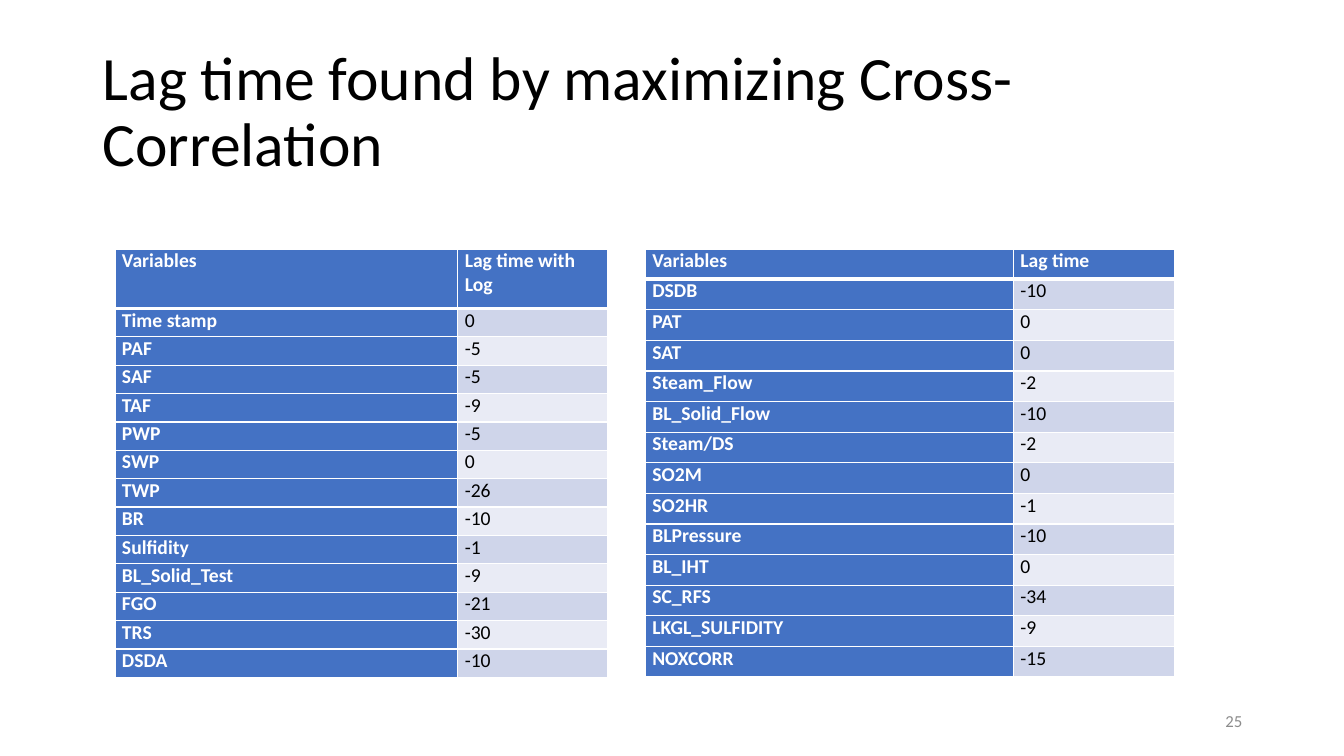
from lxml import etree
from pptx import Presentation
from pptx.dml.color import RGBColor
from pptx.enum.text import MSO_ANCHOR, PP_ALIGN
from pptx.oxml.ns import qn
from pptx.util import Inches, Pt

MIDDLE = MSO_ANCHOR.MIDDLE
LEFT, RIGHT = PP_ALIGN.LEFT, PP_ALIGN.RIGHT

TITLE = "Lag time found by maximizing Cross-Correlation"
PAGE_NUMBER = "25"
LOG_LAGS = [
    ("Variables", "Lag time with Log"),
    ("Time stamp", "0"),
    ("PAF", "-5"),
    ("SAF", "-5"),
    ("TAF", "-9"),
    ("PWP", "-5"),
    ("SWP", "0"),
    ("TWP", "-26"),
    ("BR", "-10"),
    ("Sulfidity", "-1"),
    ("BL_Solid_Test", "-9"),
    ("FGO", "-21"),
    ("TRS", "-30"),
    ("DSDA", "-10"),
]
PLAIN_LAGS = [
    ("Variables", "Lag time"),
    ("DSDB", "-10"),
    ("PAT", "0"),
    ("SAT", "0"),
    ("Steam_Flow", "-2"),
    ("BL_Solid_Flow", "-10"),
    ("Steam/DS", "-2"),
    ("SO2M", "0"),
    ("SO2HR", "-1"),
    ("BLPressure", "-10"),
    ("BL_IHT", "0"),
    ("SC_RFS", "-34"),
    ("LKGL_SULFIDITY", "-9"),
    ("NOXCORR", "-15"),
]
COLORS = {
    "title": "000000",
    "number": "8C8C8C",
    "accent": "4472C4",
    "light": "FFFFFF",
    "value": "000000",
    "odd": "CFD5EA",
    "even": "E9EBF5",
}
FONT = "Calibri"
TABLE_TOP, TABLE_HEIGHT = 2.47, 4.25
TABLES = [
    {"rows": LOG_LAGS, "left": 1.14, "columns": (3.4, 1.49), "header": 0.59},
    {"rows": PLAIN_LAGS, "left": 6.4, "columns": (3.65, 1.6), "header": 0.3},
]


def color(name):
    return RGBColor.from_string(COLORS[name])


def style(para, size, name, bold=False):
    for span in para.runs:
        span.font.name = FONT
        span.font.size = Pt(size)
        span.font.bold = bold
        span.font.color.rgb = color(name)


def add_label(page, text, place, size, name, align, line_spacing):
    box = page.shapes.add_textbox(*[Inches(length) for length in place])
    frame = box.text_frame
    frame.word_wrap = True
    frame.vertical_anchor = MIDDLE
    frame.text = text
    para = frame.paragraphs[0]
    para.alignment = align
    para.line_spacing = line_spacing
    style(para, size, name)


def add_borders(cell, row):
    properties = cell._tc.get_or_add_tcPr()
    widths = {
        "L": 1,
        "R": 1,
        "T": 3 if row == 1 else 1,
        "B": 3 if row == 0 else 1,
    }
    for side, width in widths.items():
        line = etree.SubElement(properties, qn(f"a:ln{side}"), w=str(Pt(width)))
        fill = etree.SubElement(line, qn("a:solidFill"))
        etree.SubElement(fill, qn("a:srgbClr"), val=COLORS["light"])


def fill_cell(cell, text, row, column):
    heading = row == 0 or column == 0
    band = "odd" if row % 2 else "even"
    cell.margin_left = cell.margin_right = Inches(0.07)
    cell.margin_top = cell.margin_bottom = 0
    add_borders(cell, row)
    cell.fill.solid()
    cell.fill.fore_color.rgb = color("accent" if heading else band)
    cell.text_frame.text = text
    style(cell.text_frame.paragraphs[0], 14, "light" if heading else "value", heading)


def add_lag_table(page, rows, left, columns, header):
    frame = page.shapes.add_table(
        len(rows), len(columns), Inches(left), Inches(TABLE_TOP),
        Inches(sum(columns)), Inches(TABLE_HEIGHT))
    table = frame.table
    for column, width in zip(table.columns, columns):
        column.width = Inches(width)
    body_height = (TABLE_HEIGHT - header) / (len(rows) - 1)
    for row, values in enumerate(rows):
        table.rows[row].height = Inches(body_height if row else header)
        for column, text in enumerate(values):
            fill_cell(table.cell(row, column), text, row, column)


def main():
    deck = Presentation()
    deck.slide_width, deck.slide_height = Inches(13.33), Inches(7.5)
    page = deck.slides.add_slide(deck.slide_layouts[6])
    add_label(page, TITLE, (0.92, 0.4, 11.5, 1.45), 44, "title", LEFT, 0.9)
    add_label(page, PAGE_NUMBER, (9.42, 6.95, 3, 0.4), 12, "number", RIGHT, 1.0)
    for table in TABLES:
        add_lag_table(page, **table)
    deck.save("out.pptx")


if __name__ == "__main__":
    main()
